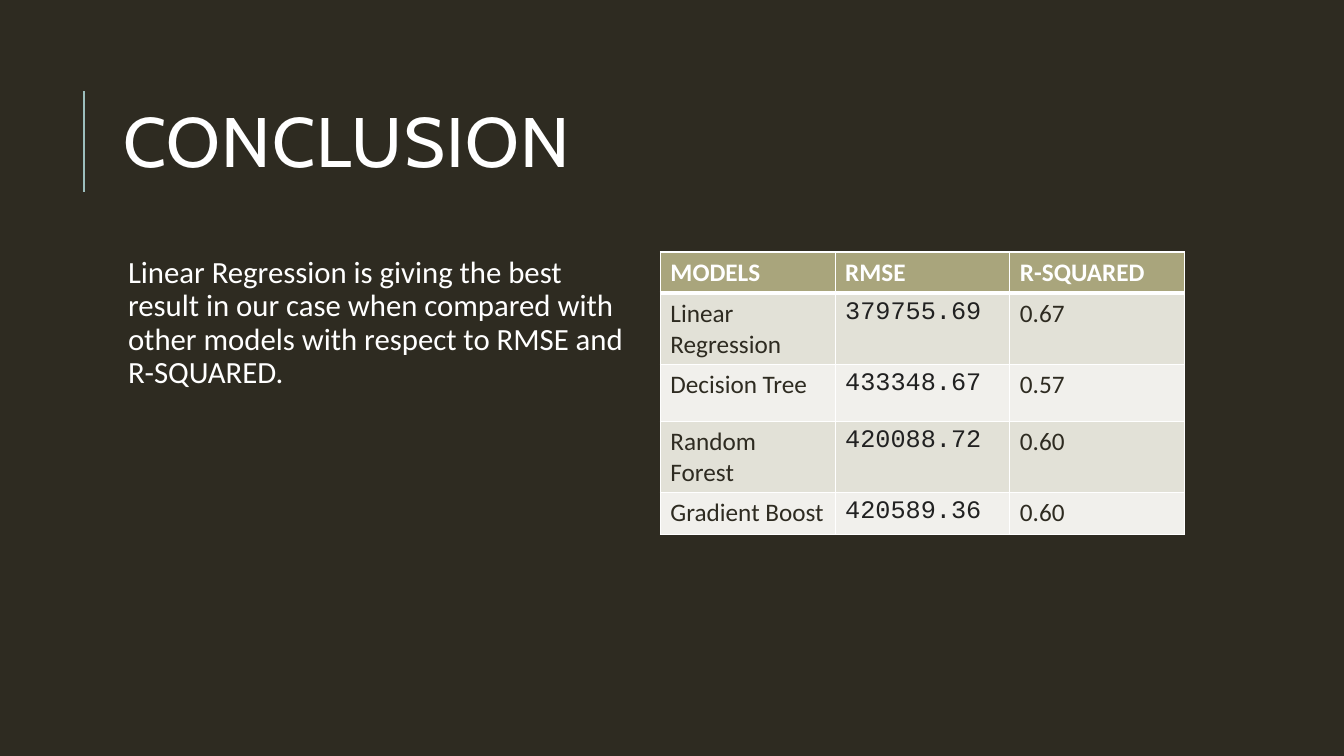
"""Build the conclusion slide: a takeaway beside a table of model scores."""
import dataclasses

import lxml.etree
import pptx
import pptx.dml.color
import pptx.enum.shapes
import pptx.enum.text
import pptx.oxml.ns
import pptx.util

EMU_PER_PX = 9144


@dataclasses.dataclass(frozen=True)
class Theme:
    """Colours, fonts and type sizes of the slide."""
    background: str = "2E2B21"
    light: str = "FFFFFF"
    accent: str = "9CBEBD"
    header: str = "A9A57C"
    bands: tuple = ("E2E1D7", "F1F0EC")
    number: str = "212121"
    title_font: str = "Cabin"
    body_font: str = "Calibri"
    number_font: str = "Courier New"
    title_size: int = 50
    body_size: int = 22
    table_size: int = 18


THEME = Theme()
TAKEAWAY = ("Linear Regression is giving the best result in our case when compared "
            "with other models with respect to RMSE and R-SQUARED.")
SCORES = [
    ("MODELS", "RMSE", "R-SQUARED"),
    ("Linear Regression", "379755.69", "0.67"),
    ("Decision Tree", "433348.67", "0.57"),
    ("Random Forest", "420088.72", "0.60"),
    ("Gradient Boost", "420589.36", "0.60"),
]
ROW_HEIGHTS = (41, 71, 56, 71, 41)


def px(length):
    """Turn whole pixels into EMU."""
    return pptx.util.Emu(length * EMU_PER_PX)


def rgb(colour):
    """Turn a hex string into a colour."""
    return pptx.dml.color.RGBColor.from_string(colour)


def add_run(paragraph, text, font_name, size, colour, bold=False):
    """Append one formatted run and return it."""
    run = paragraph.add_run()
    run.text = text
    run.font.name = font_name
    run.font.size = pptx.util.Pt(size)
    run.font.color.rgb = rgb(colour)
    run.font.bold = bold
    return run


def add_rule(slide, x, top, bottom):
    """Draw the thin vertical rule beside the title."""
    rule = slide.shapes.add_connector(
        pptx.enum.shapes.MSO_CONNECTOR.STRAIGHT, px(x), px(bottom), px(x), px(top))
    rule.line.color.rgb = rgb(THEME.accent)
    rule.line.width = pptx.util.Pt(1.5)
    lxml.etree.SubElement(rule._element.spPr, pptx.oxml.ns.qn("a:effectLst"))


def place_title(slide, text, left, top, width, height):
    """Move and format the title placeholder, with the rule to its left."""
    title = slide.shapes.title
    title.left, title.top, title.width, title.height = map(px, (left, top, width, height))
    title.text_frame.vertical_anchor = pptx.enum.text.MSO_ANCHOR.MIDDLE
    paragraph = title.text_frame.paragraphs[0]
    paragraph.alignment = pptx.enum.text.PP_ALIGN.LEFT
    paragraph.line_spacing = 0.8
    run = add_run(paragraph, text, THEME.title_font, THEME.title_size, THEME.light)
    run.font._element.set("spc", "100")
    add_rule(slide, left - 29, top + 26, top + 126)


def add_takeaway(slide, text, left, top, width, height):
    """Write the takeaway paragraph."""
    frame = slide.shapes.add_textbox(*map(px, (left, top, width, height))).text_frame
    frame.word_wrap = True
    frame.margin_left = px(15)
    frame.margin_top = frame.margin_right = frame.margin_bottom = px(5)
    paragraph = frame.paragraphs[0]
    paragraph.line_spacing = 0.9
    add_run(paragraph, text, THEME.body_font, THEME.body_size, THEME.light)


def set_borders(cell, widths):
    """Give a cell its left, right, top and bottom borders, in points."""
    properties = cell._tc.get_or_add_tcPr()
    for index, (side, width) in enumerate(zip("LRTB", widths)):
        line = lxml.etree.Element(
            pptx.oxml.ns.qn(f"a:ln{side}"), w=str(pptx.util.Pt(width)))
        fill = lxml.etree.SubElement(line, pptx.oxml.ns.qn("a:solidFill"))
        lxml.etree.SubElement(fill, pptx.oxml.ns.qn("a:srgbClr"), val=THEME.light)
        properties.insert(index, line)


def add_score_table(slide, scores, left, top, width):
    """Build the table of scores with a header row and banded rows."""
    columns = len(scores[0])
    table = slide.shapes.add_table(
        len(scores), columns, px(left), px(top), px(width), px(sum(ROW_HEIGHTS))).table
    for column in table.columns:
        column.width = px(width) // columns
    for row_index, values in enumerate(scores):
        table.rows[row_index].height = px(ROW_HEIGHTS[row_index])
        is_header = row_index == 0
        fill = THEME.header if is_header else THEME.bands[(row_index - 1) % 2]
        for column_index, value in enumerate(values):
            cell = table.cell(row_index, column_index)
            cell.fill.solid()
            cell.fill.fore_color.rgb = rgb(fill)
            font_name, colour = THEME.body_font, THEME.background
            if is_header:
                colour = THEME.light
            elif column_index == 1:
                font_name, colour = THEME.number_font, THEME.number
            add_run(cell.text_frame.paragraphs[0], value, font_name,
                    THEME.table_size, colour, is_header)
            set_borders(cell, (1, 1, 3 if row_index == 1 else 1, 3 if is_header else 1))


def build_conclusion(presentation):
    """Add the conclusion slide."""
    slide = presentation.slides.add_slide(presentation.slide_layouts[5])
    slide.background.fill.solid()
    slide.background.fill.fore_color.rgb = rgb(THEME.background)
    place_title(slide, "CONCLUSION", 112, 64, 1063, 164)
    add_takeaway(slide, TAKEAWAY, 112, 250, 520, 440)
    add_score_table(slide, SCORES, 655, 250, 520)


def main():
    """Create the presentation and save it."""
    presentation = pptx.Presentation()
    presentation.slide_width, presentation.slide_height = px(1333), px(750)
    build_conclusion(presentation)
    presentation.save("out.pptx")


if __name__ == "__main__":
    main()
